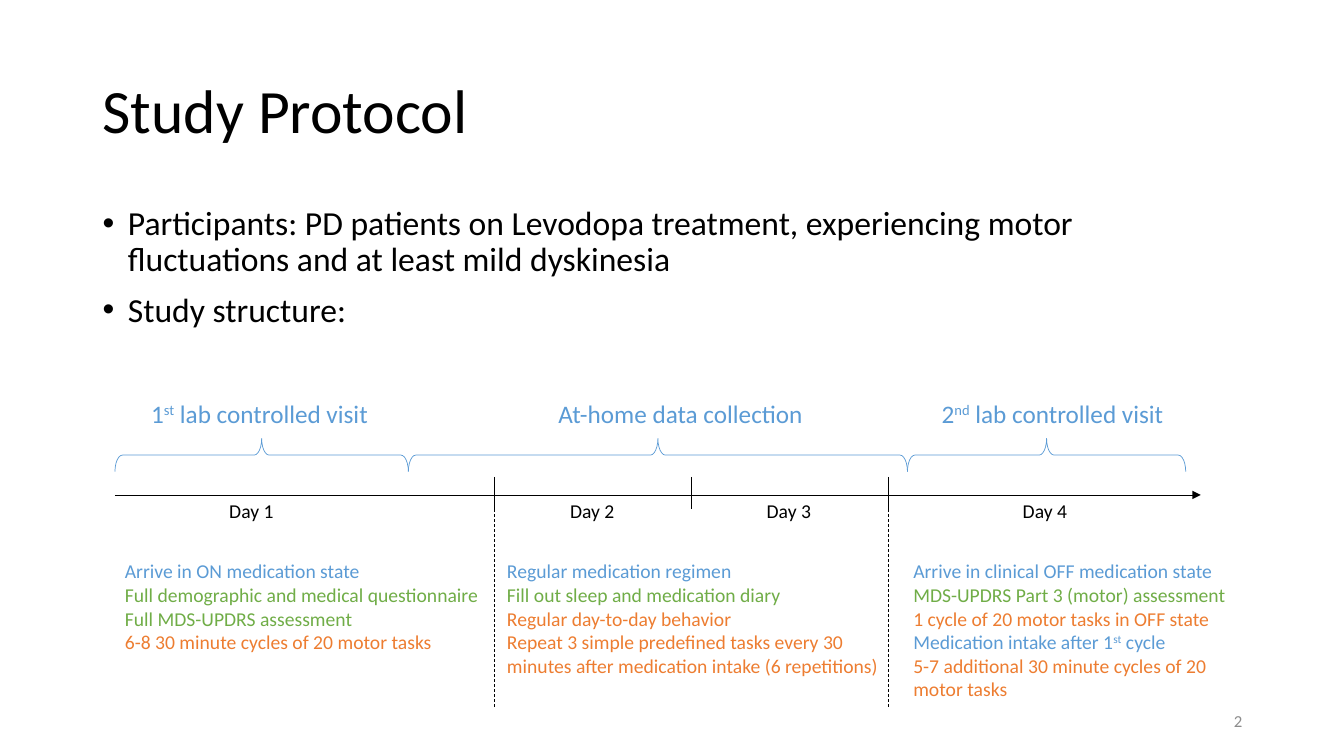
"""Builds the Study Protocol slide: two bullets above a four-day timeline."""
from lxml import etree
from pptx import Presentation
from pptx.dml.color import RGBColor
from pptx.enum.dml import MSO_LINE
from pptx.enum.shapes import MSO_CONNECTOR, MSO_SHAPE
from pptx.enum.text import MSO_ANCHOR, PP_ALIGN
from pptx.oxml.ns import qn
from pptx.util import Inches, Pt

STRAIGHT = MSO_CONNECTOR.STRAIGHT
LEFT_BRACE = MSO_SHAPE.LEFT_BRACE
DASH = MSO_LINE.DASH
TOP, MIDDLE = MSO_ANCHOR.TOP, MSO_ANCHOR.MIDDLE
LEFT, RIGHT = PP_ALIGN.LEFT, PP_ALIGN.RIGHT
BLACK = RGBColor(0x00, 0x00, 0x00)
BLUE = RGBColor(0x5B, 0x9B, 0xD5)
GREEN = RGBColor(0x70, 0xAD, 0x47)
ORANGE = RGBColor(0xED, 0x7D, 0x31)
GRAY = RGBColor(0x8C, 0x8C, 0x8C)
FONT = "Calibri"

TITLE = "Study Protocol"
BULLETS = [
    "Participants: PD patients on Levodopa treatment, experiencing motor "
    "fluctuations and at least mild dyskinesia",
    "Study structure:",
]
# Text between carets is superscript.
PHASES = [
    ("1^st^ lab controlled visit", 1.4, 2.39),
    ("At-home data collection", 5.44, 2.66),
    ("2^nd^ lab controlled visit", 9.24, 2.45),
]
PHASE_EDGES = [1.14, 4.05, 9.0, 11.76]
DAY_CENTERS = [2.5, 5.88, 7.83, 10.37]
DAY_TICKS = [4.9, 6.86, 8.81]
ACTIVITIES = [
    (1.14, 3.74, False, [
        ("Arrive in ON medication state", BLUE),
        ("Full demographic and medical questionnaire", GREEN),
        ("Full MDS-UPDRS assessment", GREEN),
        ("6-8 30 minute cycles of 20 motor tasks", ORANGE)]),
    (4.93, 3.95, True, [
        ("Regular medication regimen", BLUE),
        ("Fill out sleep and medication diary", GREEN),
        ("Regular day-to-day behavior", ORANGE),
        ("Repeat 3 simple predefined tasks every 30", ORANGE),
        ("minutes after medication intake (6 repetitions)", ORANGE)]),
    (8.96, 3.48, True, [
        ("Arrive in clinical OFF medication state", BLUE),
        ("MDS-UPDRS Part 3 (motor) assessment", GREEN),
        ("1 cycle of 20 motor tasks in OFF state", ORANGE),
        ("Medication intake after 1^st^ cycle", BLUE),
        ("5-7 additional 30 minute cycles of 20 motor tasks", ORANGE)]),
]
AXIS_Y, AXIS_END = 4.91, 11.91
TICK_TOP, TICK_BOTTOM, DIVIDER_BOTTOM = 4.73, 5.05, 7.01
BRACE_TOP, BRACE_HEIGHT = 4.35, 0.33
DAY_WIDTH = 0.65

prs = Presentation()
prs.slide_width, prs.slide_height = Inches(13.33), Inches(7.5)
slide = prs.slides.add_slide(prs.slide_layouts[6])


def add_text(box, lines, size, wrap=True, anchor=TOP, align=LEFT):
    """Add a text box of (text, colour) lines and return its paragraphs."""
    frame = slide.shapes.add_textbox(*map(Inches, box)).text_frame
    frame.word_wrap, frame.vertical_anchor = wrap, anchor
    for number, (text, color) in enumerate(lines):
        paragraph = frame.add_paragraph() if number else frame.paragraphs[0]
        paragraph.alignment = align
        for part, piece in enumerate(text.split("^")):
            run = paragraph.add_run()
            run.text = piece
            run.font.name, run.font.size = FONT, Pt(size)
            run.font.color.rgb = color
            if part % 2:
                run.font._element.set("baseline", "30000")
    return frame.paragraphs


def add_line(x1, y1, x2, y2):
    """Add a thin black line without a shadow."""
    line = slide.shapes.add_connector(STRAIGHT, *map(Inches, (x1, y1, x2, y2)))
    line.line.color.rgb, line.line.width = BLACK, Pt(0.5)
    etree.SubElement(line._element.spPr, qn("a:effectLst"))
    return line.line


def add_brace(left, right):
    """Add an upward brace spanning left to right."""
    span = right - left
    middle_x, middle_y = (left + right) / 2, BRACE_TOP + BRACE_HEIGHT / 2
    box = (middle_x - BRACE_HEIGHT / 2, middle_y - span / 2, BRACE_HEIGHT, span)
    brace = slide.shapes.add_shape(LEFT_BRACE, *map(Inches, box))
    brace.rotation = 90
    brace.adjustments[0] = 0.225
    brace.shadow.inherit = False
    brace.fill.background()
    brace.line.color.rgb, brace.line.width = BLUE, Pt(0.5)


title = add_text((0.92, 0.4, 11.5, 1.45), [(TITLE, BLACK)], 44, anchor=MIDDLE)
title[0].line_spacing = 0.9

for bullet in add_text((0.92, 2, 11.5, 1.4), [(text, BLACK) for text in BULLETS], 24):
    bullet.line_spacing, bullet.space_before = 0.9, Pt(10)
    properties = bullet._p.get_or_add_pPr()
    properties.set("marL", str(Inches(0.25)))
    properties.set("indent", str(Inches(-0.25)))
    etree.SubElement(properties, qn("a:buFont")).set("typeface", "Arial")
    etree.SubElement(properties, qn("a:buChar")).set("char", "•")

axis = add_line(PHASE_EDGES[0], AXIS_Y, AXIS_END, AXIS_Y)
etree.SubElement(axis._get_or_add_ln(), qn("a:tailEnd")).set("type", "triangle")

for day, center in enumerate(DAY_CENTERS, 1):
    add_text((center - DAY_WIDTH / 2, 4.9, DAY_WIDTH, 0.34),
             [(f"Day {day}", BLACK)], 14, wrap=False)

for tick in DAY_TICKS:
    add_line(tick, TICK_TOP, tick, TICK_BOTTOM)
for divider in (DAY_TICKS[0], DAY_TICKS[-1]):
    add_line(divider, TICK_BOTTOM, divider, DIVIDER_BOTTOM).dash_style = DASH

for (label, left, width), start, end in zip(PHASES, PHASE_EDGES, PHASE_EDGES[1:]):
    add_brace(start, end)
    add_text((left, 3.9, width, 0.4), [(label, BLUE)], 18, wrap=False)

for left, width, wrap, lines in ACTIVITIES:
    add_text((left, 5.5, width, 1.51), lines, 14, wrap=wrap)

add_text((9.42, 6.95, 3, 0.4), [("2", GRAY)], 12, anchor=MIDDLE, align=RIGHT)

prs.save("out.pptx")
